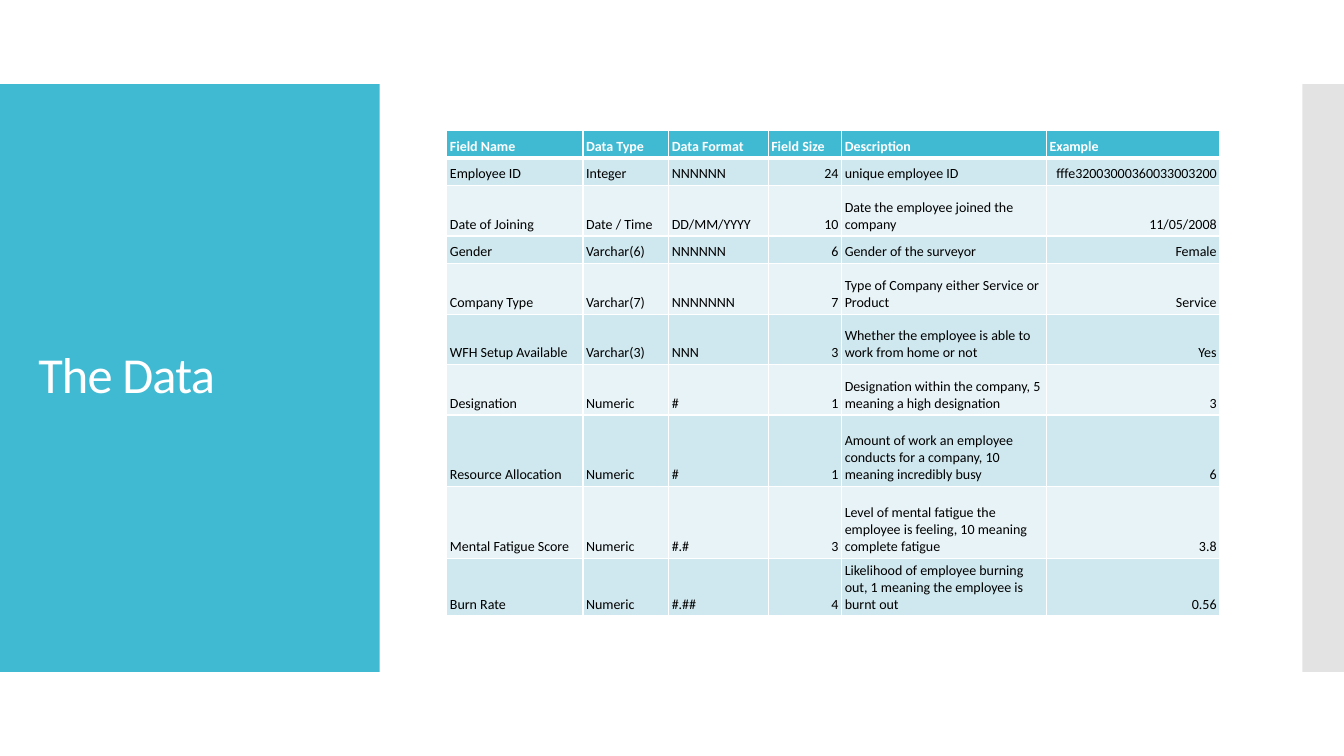
from dataclasses import dataclass

from lxml.etree import SubElement
from pptx import Presentation
from pptx.dml.color import RGBColor
from pptx.enum.shapes import MSO_SHAPE
from pptx.enum.text import MSO_ANCHOR, MSO_AUTO_SIZE, PP_ALIGN
from pptx.oxml.ns import qn
from pptx.util import Cm, Pt


@dataclass(frozen=True)
class Theme:
    font: str = "Calibri"
    accent: str = "40BAD2"
    strip: str = "C8C8C8"
    bands: tuple = ("CFE7EE", "E8F3F7")
    white: str = "FFFFFF"
    black: str = "000000"
    title_size: int = 36
    table_size: int = 10


class Deck:
    def __init__(self, theme):
        self.theme = theme
        self.prs = Presentation()
        self.prs.slide_width, self.prs.slide_height = Cm(33.87), Cm(19.05)
        self.s = self.prs.slides.add_slide(self.prs.slide_layouts[5])

    def style(self, p, size, color, bold=False, align=PP_ALIGN.LEFT):
        p.alignment = align
        p.font.name, p.font.size, p.font.bold = self.theme.font, Pt(size), bold
        p.font.color.rgb = RGBColor.from_string(color)

    def panel(self, left, top, width, height, color, alpha=100):
        sp = self.s.shapes.add_shape(
            MSO_SHAPE.RECTANGLE, Cm(left), Cm(top), Cm(width), Cm(height))
        sp.shadow.inherit = False
        sp.line.fill.background()
        sp.fill.solid()
        sp.fill.fore_color.rgb = RGBColor.from_string(color)
        if alpha < 100:
            clr = sp.fill._xPr.find(qn("a:solidFill"))[0]
            SubElement(clr, qn("a:alpha"), val=str(alpha * 1000))

    def title(self, text, left, top, width, height):
        sp = self.s.shapes.title
        sp.left, sp.top, sp.width, sp.height = Cm(left), Cm(top), Cm(width), Cm(height)
        tf = sp.text_frame
        tf.text = text
        tf.word_wrap = True
        tf.auto_size = MSO_AUTO_SIZE.NONE
        tf.vertical_anchor = MSO_ANCHOR.MIDDLE
        p = tf.paragraphs[0]
        p.line_spacing = 0.9
        self.style(p, self.theme.title_size, self.theme.white)
        p.font._element.set("spc", "-60")
        # Bring the title in front of the panels
        self.s.shapes._spTree.append(sp._element)

    def borders(self, cell, widths):
        tc_pr = cell._tc.get_or_add_tcPr()
        for side, width in widths.items():
            ln = SubElement(tc_pr, qn(f"a:ln{side}"), w=str(Pt(width)))
            fill = SubElement(ln, qn("a:solidFill"))
            SubElement(fill, qn("a:srgbClr"), val=self.theme.white)

    def table(self, rows, left, top, col_widths, row_heights, right_cols):
        th = self.theme
        tbl = self.s.shapes.add_table(
            len(rows), len(col_widths), Cm(left), Cm(top),
            Cm(sum(col_widths)), Cm(sum(row_heights))).table
        for col, width in zip(tbl.columns, col_widths):
            col.width = Cm(width)
        for i, (row, height) in enumerate(zip(rows, row_heights)):
            tbl.rows[i].height = Cm(height)
            header = i == 0
            fill = th.accent if header else th.bands[(i - 1) % 2]
            for j, text in enumerate(row):
                cell = tbl.cell(i, j)
                cell.text = text
                cell.vertical_anchor = MSO_ANCHOR.BOTTOM
                cell.margin_left = cell.margin_right = Cm(0.08)
                cell.margin_top = cell.margin_bottom = Cm(0.08)
                self.borders(cell, {"L": 1, "R": 1, "T": 3 if i == 1 else 1,
                                    "B": 3 if header else 1})
                cell.fill.solid()
                cell.fill.fore_color.rgb = RGBColor.from_string(fill)
                right = j in right_cols and not header
                self.style(cell.text_frame.paragraphs[0], th.table_size,
                           th.white if header else th.black, header,
                           PP_ALIGN.RIGHT if right else PP_ALIGN.LEFT)


FIELDS = [
    ("Field Name", "Data Type", "Data Format", "Field Size", "Description", "Example"),
    ("Employee ID", "Integer", "NNNNNN", "24", "unique employee ID",
     "fffe32003000360033003200"),
    ("Date of Joining", "Date / Time", "DD/MM/YYYY", "10",
     "Date the employee joined the company", "11/05/2008"),
    ("Gender", "Varchar(6)", "NNNNNN", "6", "Gender of the surveyor", "Female"),
    ("Company Type", "Varchar(7)", "NNNNNNN", "7",
     "Type of Company either Service or Product", "Service"),
    ("WFH Setup Available", "Varchar(3)", "NNN", "3",
     "Whether the employee is able to work from home or not", "Yes"),
    ("Designation", "Numeric", "#", "1",
     "Designation within the company, 5 meaning a high designation", "3"),
    ("Resource Allocation", "Numeric", "#", "1",
     "Amount of work an employee conducts for a company, 10 meaning incredibly busy",
     "6"),
    ("Mental Fatigue Score", "Numeric", "#.#", "3",
     "Level of mental fatigue the employee is feeling, 10 meaning complete fatigue",
     "3.8"),
    ("Burn Rate", "Numeric", "#.##", "4",
     "Likelihood of employee burning out, 1 meaning the employee is burnt out", "0.56"),
]
COL_WIDTHS = [3.43, 2.16, 2.51, 1.85, 5.16, 4.37]
ONE_LINE, TWO_LINES, THREE_LINES = 0.7, 1.27, 1.81
ROW_HEIGHTS = [ONE_LINE, ONE_LINE, TWO_LINES, ONE_LINE, *[TWO_LINES] * 3,
               *[THREE_LINES] * 2, TWO_LINES]


def main():
    theme = Theme()
    deck = Deck(theme)
    # Side panels
    deck.panel(0, 2.12, 9.57, 14.81, theme.accent)
    deck.panel(32.82, 2.12, 1.05, 14.81, theme.strip, alpha=50)
    # Title
    deck.title("The Data", 0.71, 3.12, 8.18, 12.78)
    # Data dictionary
    deck.table(FIELDS, 11.26, 3.28, COL_WIDTHS, ROW_HEIGHTS, right_cols=(3, 5))
    deck.prs.save("out.pptx")


if __name__ == "__main__":
    main()
